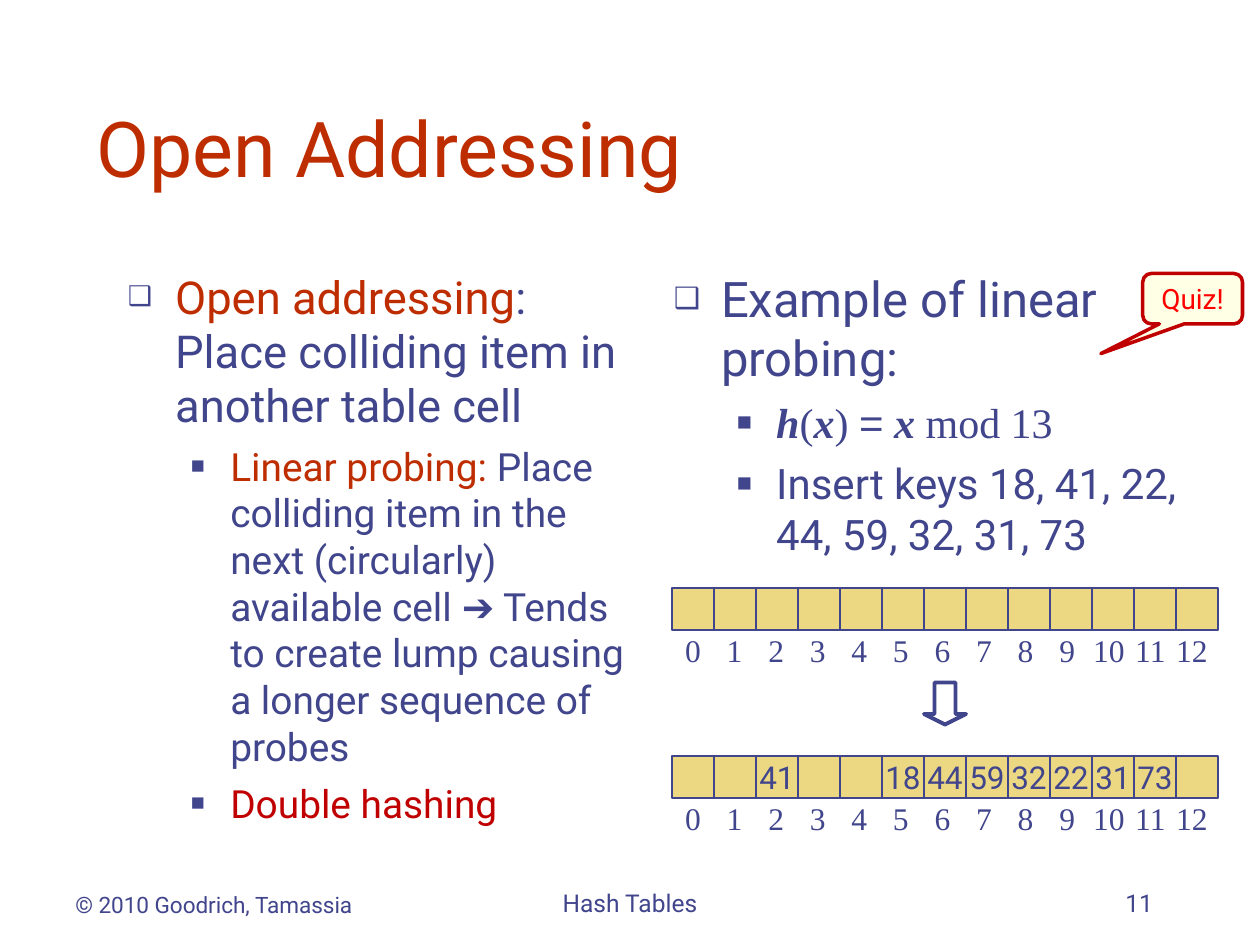
from lxml import etree
from pptx import Presentation
from pptx.dml.color import RGBColor
from pptx.enum import shapes, text
from pptx.oxml import ns
from pptx.util import Pt

INK, RUST, RED = "40458C", "BE2D00", "C00000"
GOLD, CREAM, BRIGHT_RED = "ECD882", "FFFFCC", "FF0000"
SANS, SERIF, SYMBOL = "Roboto", "Times New Roman", "Arial"
ALIGN, ANCHOR, KIND = text.PP_ALIGN, text.MSO_ANCHOR, shapes.MSO_SHAPE

# Per outline level: text indent, hanging indent, space before, bullet
LEVELS = [(27, 27, 7, "\u2751"), (58.5, 22.5, 6, "\u25a0")]


def rgb(code):
    """Turn a hex string into a colour."""
    return RGBColor.from_string(code)


def sub(parent, tag, **attrs):
    """Append a DrawingML child element."""
    return etree.SubElement(parent, ns.qn("a:" + tag), attrs)


class Painter:
    """Holds the text style and the slide being built."""

    def __init__(self, slide):
        """Start with the base style on the given slide."""
        self.slide = slide
        self.style = {"size": 18, "name": SANS, "color": INK}

    def run(self, paragraph, words, **changes):
        """Add a run in the base style with the given changes."""
        values = {**self.style, **changes}
        run = paragraph.add_run()
        run.text = words
        run.font.color.rgb = rgb(values.pop("color"))
        values["size"] = Pt(values["size"])
        for key, value in values.items():
            setattr(run.font, key, value)

    def frame(self, holder, **formats):
        """Format a text frame and return it."""
        settings = {"word_wrap": True, "auto_size": text.MSO_AUTO_SIZE.NONE,
                    "vertical_anchor": ANCHOR.TOP, **formats}
        for key, value in settings.items():
            setattr(holder.text_frame, key, value)
        return holder.text_frame

    def line(self, holder, words, align=ALIGN.CENTER, anchor=ANCHOR.MIDDLE,
             wrap=False, **style):
        """Write one line of text into a shape."""
        frame = self.frame(holder, word_wrap=wrap, vertical_anchor=anchor)
        paragraph = frame.paragraphs[0]
        paragraph.alignment = align
        self.run(paragraph, words, **style)

    def title(self, box, words, **style):
        """Place and fill the title placeholder."""
        title = self.slide.shapes.title
        for key, value in zip(("left", "top", "width", "height"), box):
            setattr(title, key, Pt(value))
        self.line(title, words, ALIGN.LEFT, ANCHOR.BOTTOM, True, **style)

    def box(self, box):
        """Add an empty text box."""
        return self.slide.shapes.add_textbox(*map(Pt, box))

    def label(self, box, words, **options):
        """Add a text box with one line."""
        self.line(self.box(box), words, **options)

    def outline(self, box, sizes, items):
        """Add a bulleted list of (level, runs) items."""
        frame = self.frame(self.box(box))
        for index, (level, runs) in enumerate(items):
            paragraph = frame.add_paragraph() if index else frame.paragraphs[0]
            indent, hanging, before, bullet = LEVELS[level]
            paragraph.level = level
            paragraph.space_before = Pt(before)
            props = paragraph._p.get_or_add_pPr()
            props.set("marL", str(Pt(indent)))
            props.set("indent", str(-Pt(hanging)))
            sub(sub(props, "buClr"), "srgbClr", val=INK)
            sub(props, "buSzPct", val="60000")
            sub(props, "buFont", typeface=SYMBOL)
            sub(props, "buChar", char=bullet)
            for words, changes in runs:
                self.run(paragraph, words, size=sizes[level], **changes)

    def shape(self, kind, box, line, weight, fill=None, alpha=None, adjust=()):
        """Add a preset shape, filled if a fill is given."""
        shape = self.slide.shapes.add_shape(kind, *map(Pt, box))
        shape.shadow.inherit = False
        shape.line.color.rgb = rgb(line)
        shape.line.width = Pt(weight)
        for index, value in enumerate(adjust):
            shape.adjustments[index] = value
        if fill is None:
            shape.fill.background()
        else:
            shape.fill.solid()
            shape.fill.fore_color.rgb = rgb(fill)
        if alpha:
            color = shape._element.spPr.find(ns.qn("a:solidFill"))[0]
            sub(color, "alpha", val=str(alpha * 1000))
        return shape

    def hash_table(self, top, keys, slots=13, left=384, side=24, pitch=23.76):
        """Draw a row of cells with the keys by slot, and indices below."""
        for slot in range(slots):
            cell = self.shape(KIND.RECTANGLE, (left + slot * side, top, side, side),
                              INK, 1.5, GOLD)
            if slot in keys:
                self.line(cell, str(keys[slot]))
        for slot in range(slots):
            width = 23 if slot < 10 else 32.4
            center = left + side / 2 + slot * pitch
            self.label((center - width / 2, top + 21, width, 29), str(slot),
                       anchor=ANCHOR.TOP, name=SERIF)


deck = Presentation()
deck.slide_width, deck.slide_height = Pt(720), Pt(540)
page = Painter(deck.slides.add_slide(deck.slide_layouts[5]))

page.title((48, 24, 630, 90), "Open Addressing", size=44, color=RUST)

page.outline((66, 150, 300, 324), (25.9, 22.2), [
    (0, [("Open addressing", {"color": RUST}),
         (": Place colliding item in another table cell ", {})]),
    (1, [("Linear probing:", {"color": RUST}),
         (" Place colliding item in the next (circularly) available cell ", {}),
         ("\u2794", {"name": SYMBOL}),
         (" Tends to create lump causing a longer sequence of probes", {})]),
    (1, [("Double hashing", {"color": RED})]),
])

serif = {"name": SERIF}
variable = {**serif, "bold": True, "italic": True}
page.outline((378, 150, 318, 324), (28, 24), [
    (0, [("Example of linear probing:", {})]),
    (1, [("h", variable), ("(", serif), ("x", variable), (") ", serif),
         ("=", {"name": SYMBOL}), (" x ", variable), ("mod 13", serif)]),
    (1, [("Insert keys 18, 41, 22, 44, 59, 32, 31, 73", {})]),
])

for left, width, words, align, size in [
        (36, 192, "\u00a9 2010 Goodrich, Tamassia", ALIGN.LEFT, 12.9),
        (246, 228, "Hash Tables", ALIGN.CENTER, 14),
        (516, 150, "11", ALIGN.RIGHT, 14)]:
    page.label((left, 492, width, 36), words, align=align,
               anchor=ANCHOR.BOTTOM, wrap=True, size=size)

page.hash_table(336, {})
page.hash_table(432, {2: 41, 5: 18, 6: 44, 7: 59, 8: 32, 9: 22, 10: 31, 11: 73})
page.shape(KIND.DOWN_ARROW, (528, 390, 24, 24), INK, 2.25, adjust=(0.5, 0.25))

quiz = page.shape(KIND.ROUNDED_RECTANGULAR_CALLOUT, (653, 156.3, 57, 28.8), RED, 2,
                  CREAM, alpha=50, adjust=(-0.92, 1.09, 0.17))
page.line(quiz, "Quiz!", size=16, color=BRIGHT_RED)

deck.save("out.pptx")
